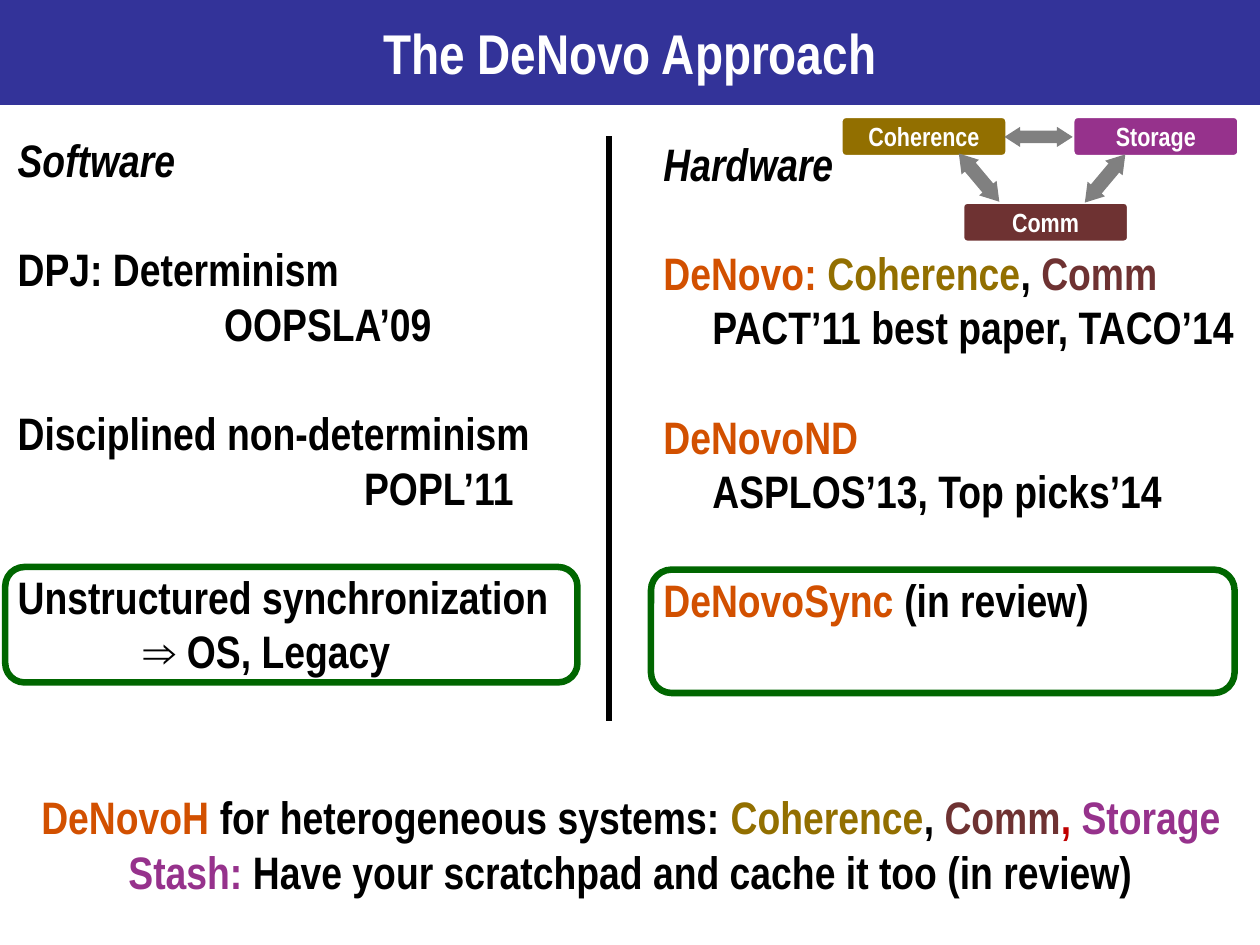
from lxml import etree
from pptx import Presentation
from pptx import util as u
from pptx.dml import color
from pptx.enum import shapes, text
from pptx.oxml import ns

COLORS = {
    "banner": "333399", "white": "FFFFFF", "black": "000000", "orange": "D25000",
    "coherence": "926F00", "comm": "6E3232", "storage": "96328C", "red": "C00000",
    "arrow": "808080", "highlight": "006600",
}


class SlideBuilder:
    """Holds the style and the slide being filled."""

    font = "Arial Narrow"
    body_size = 26
    blank_line = 31.2

    def __init__(self, deck):
        self.slide = deck.slides.add_slide(deck.slide_layouts[5])

    def rgb(self, name):
        return color.RGBColor.from_string(COLORS[name])

    def style(self, run, size, ink, italic=False):
        font = run.font
        font.name, font.size, font.bold, font.italic = self.font, u.Pt(size), True, italic
        font.color.rgb = self.rgb(ink)

    def place(self, kind, box, fill=None, line=None, weight=1):
        shape = self.slide.shapes.add_shape(kind, *map(u.Pt, box))
        shape.shadow.inherit = False
        if fill:
            shape.fill.solid()
            shape.fill.fore_color.rgb = self.rgb(fill)
        else:
            shape.fill.background()
        if line:
            shape.line.color.rgb = self.rgb(line)
            shape.line.width = u.Pt(weight)
        else:
            shape.line.fill.background()
        return shape

    def label(self, shape, words, size):
        frame = shape.text_frame
        frame.text = words
        frame.word_wrap = True
        frame.auto_size = text.MSO_AUTO_SIZE.NONE
        frame.vertical_anchor = text.MSO_ANCHOR.MIDDLE
        frame.margin_top = frame.margin_bottom = 0
        frame.paragraphs[0].alignment = text.PP_ALIGN.CENTER
        self.style(frame.paragraphs[0].runs[0], size, "white")

    def title(self, words, box):
        banner = self.slide.shapes.title
        banner.left, banner.top, banner.width, banner.height = map(u.Pt, box)
        banner.fill.solid()
        banner.fill.fore_color.rgb = self.rgb("banner")
        self.label(banner, words, 32)

    def node(self, words, fill, left, top):
        node = self.place(shapes.MSO_SHAPE.ROUNDED_RECTANGLE, (left, top, 95, 23), fill, "white", 2)
        node.adjustments[0] = 0.12
        self.label(node, words, 15)

    def block_arrow(self, box, angle=0):
        arrow = self.place(shapes.MSO_SHAPE.LEFT_RIGHT_ARROW, box, "arrow")
        arrow.adjustments[0], arrow.adjustments[1] = 0.62, 0.78
        arrow.rotation = angle

    def highlight(self, box):
        self.place(shapes.MSO_SHAPE.ROUNDED_RECTANGLE, box, line="highlight", weight=3.75)

    def divider(self, x, top, bottom):
        rule = self.slide.shapes.add_connector(
            shapes.MSO_CONNECTOR.STRAIGHT, *map(u.Pt, (x, top, x, bottom)))
        rule.line.color.rgb = self.rgb("black")
        rule.line.width = u.Pt(3)
        etree.SubElement(rule._element.spPr, ns.qn("a:effectLst"))

    def text_box(self, box):
        frame = self.slide.shapes.add_textbox(*map(u.Pt, box)).text_frame
        frame.word_wrap = True
        frame.margin_right = 0
        return frame

    def paragraph(self, frame, pieces, italic=False):
        first = frame.paragraphs[0]
        paragraph = frame.add_paragraph() if first.runs else first
        for words, ink in pieces:
            run = paragraph.add_run()
            run.text = words
            self.style(run, self.body_size, ink, italic)
        return paragraph

    def column(self, box, heading, topics):
        frame = self.text_box(box)
        self.paragraph(frame, [(heading, "black")], italic=True)
        for topic, detail, indent in topics:
            self.paragraph(frame, topic).space_before = u.Pt(self.blank_line)
            if detail:
                venue = self.paragraph(frame, [(detail, "black")])
                venue._p.get_or_add_pPr().set("marL", str(u.Pt(indent)))

    def summary(self, box, lines):
        frame = self.text_box(box)
        for pieces, spacing in lines:
            paragraph = self.paragraph(frame, pieces)
            paragraph.alignment = text.PP_ALIGN.CENTER
            paragraph.line_spacing = spacing


def main():
    deck = Presentation()
    deck.slide_width, deck.slide_height = u.Pt(720), u.Pt(540)
    page = SlideBuilder(deck)
    page.title("The DeNovo Approach", (0, 0, 720, 60))

    page.column((372, 74, 378, 353), "Hardware", [
        ([("DeNovo: ", "orange"), ("Coherence", "coherence"), (", ", "black"), ("Comm", "comm")],
         "PACT’11 best paper, TACO’14", 28),
        ([("DeNovoND", "orange")], "ASPLOS’13, Top picks’14", 28),
        ([("DeNovoSync ", "orange"), ("(in review)", "black")], None, 0),
    ])

    page.node("Coherence", "coherence", 480.5, 66.5)
    page.node("Storage", "storage", 613, 66.5)
    page.node("Comm", "comm", 550, 115.5)
    page.block_arrow((574, 72.5, 39, 11.5))
    page.block_arrow((613.5, 95.5, 36, 13), 310)
    page.block_arrow((541.5, 95, 36, 13), 50)

    page.column((3, 72, 320, 353), "Software", [
        ([("DPJ: Determinism", "black")], "OOPSLA’09", 118),
        ([("Disciplined non-determinism", "black")], "POPL’11", 198),
        ([("Unstructured synchronization", "black")], "⇒ OS, Legacy", 72),
    ])
    page.divider(348, 78, 412)

    page.summary((6, 432, 702, 86), [
        ([("DeNovoH ", "orange"), ("for heterogeneous systems: ", "black"),
          ("Coherence", "coherence"), (", ", "black"), ("Comm", "comm"), (", ", "red"),
          ("Storage", "storage")], 1.5),
        ([("Stash: ", "storage"),
          ("Have your scratchpad and cache it too (in review)", "black")], 1),
    ])
    page.highlight((372, 325.5, 333.5, 70.5))
    page.highlight((3, 324, 327, 66))
    deck.save("out.pptx")


if __name__ == "__main__":
    main()
